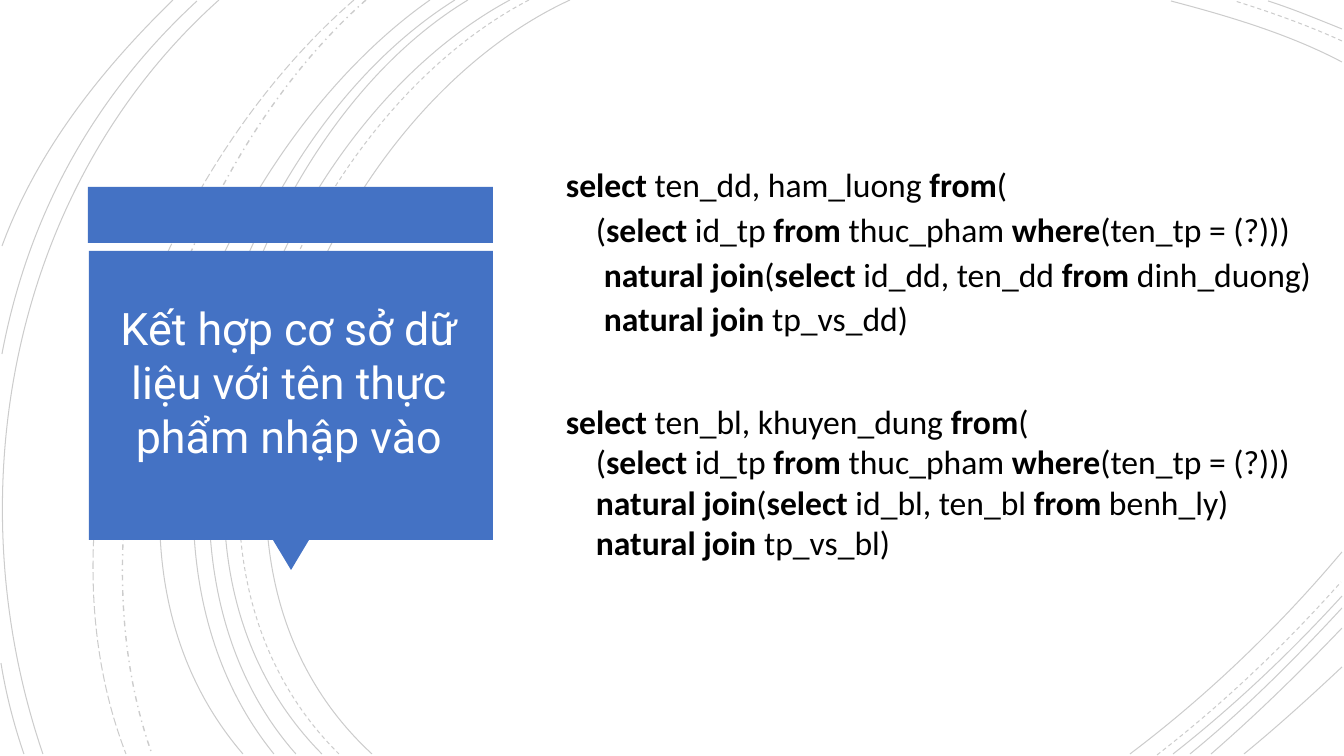
"""Build the slide that joins database tables by the entered food name."""
from dataclasses import dataclass

from lxml.etree import SubElement
from pptx import Presentation
from pptx.dml.color import RGBColor
from pptx.enum.dml import MSO_LINE
from pptx.enum.shapes import MSO_SHAPE
from pptx.enum.text import MSO_ANCHOR, MSO_AUTO_SIZE, PP_ALIGN
from pptx.oxml.ns import qn
from pptx.util import Emu, Pt

TITLE = "Kết hợp cơ sở dữ liệu với tên thực phẩm nhập vào"
TITLE_BOX = (104, 296, 370, 173)

NUTRIENT_QUERY = [
    (0, "*select* ten_dd, ham_luong *from*("),
    (30, "(*select* id_tp *from* thuc_pham *where*(ten_tp = (?)))"),
    (38, "*natural join*(*select* id_dd, ten_dd *from* dinh_duong)"),
    (38, "*natural join* tp_vs_dd)"),
]
DISEASE_QUERY = [
    (0, "*select* ten_bl, khuyen_dung *from*("),
    (30, "(*select* id_tp *from* thuc_pham *where*(ten_tp = (?)))"),
    (30, "*natural join*(*select* id_bl, ten_bl *from* benh_ly)"),
    (30, "*natural join* tp_vs_bl)"),
]
QUERIES = [
    (NUTRIENT_QUERY, (556, 125, 842, 258), MSO_ANCHOR.MIDDLE, 0.9, 6),
    (DISEASE_QUERY, (556, 396, 783, 173), MSO_ANCHOR.TOP, 1.0, 0),
]

PANEL_PARTS = [
    (MSO_SHAPE.RECTANGLE, (88, 187, 405, 56), 0),
    (MSO_SHAPE.ISOSCELES_TRIANGLE, (273, 540, 36, 30), 180),
    (MSO_SHAPE.RECTANGLE, (89, 251, 404, 289), 0),
]

ARCS = {
    (MSO_LINE.SOLID, 0.75): [
        [(570, 0), (318, 116), (144, 544), (372, 754)],
        [(1342, 62), (1289, 34), (1228, 16), (1171, 1)],
        [(1130, 754), (1207, 696), (1279, 627), (1342, 552)],
        [(510, 0), (272, 128), (111, 541), (322, 754)],
        [(1342, 29), (1317, 19), (1293, 9), (1268, 1)],
        [(1173, 754), (1233, 707), (1290, 653), (1342, 596)],
        [(468, 0), (246, 134), (111, 545), (296, 754)],
        [(1190, 754), (1244, 710), (1294, 660), (1342, 608)],
        [(455, 0), (233, 139), (98, 537), (274, 754)],
        [(1211, 754), (1256, 715), (1300, 672), (1342, 628)],
        [(430, 0), (219, 148), (53, 533), (243, 754)],
        [(1244, 754), (1277, 727), (1309, 698), (1342, 667)],
        [(219, 0), (11, 186), (-46, 494), (43, 754)],
        [(197, 1), (93, 97), (28, 216), (2, 354)],
        [(1, 663), (6, 694), (14, 725), (24, 754)],
        [(173, 0), (101, 70), (37, 151), (2, 246)],
    ],
    (MSO_LINE.DASH, 0.75): [
        [(529, 0), (287, 126), (124, 541), (339, 754)],
        [(1342, 41), (1307, 25), (1270, 12), (1235, 1)],
        [(1157, 755), (1223, 704), (1285, 645), (1341, 582)],
    ],
    (MSO_LINE.DASH_DOT, 1): [[(366, 0), (177, 167), (66, 513), (152, 754)]],
    (MSO_LINE.LONG_DASH, 0.75): [[(354, 0), (158, 170), (29, 503), (126, 754)]],
}


@dataclass(frozen=True)
class Theme:
    panel: RGBColor = RGBColor(0x44, 0x72, 0xC4)
    ink: RGBColor = RGBColor(0, 0, 0)
    title_color: RGBColor = RGBColor(255, 255, 255)
    arc_alpha: int = 20000
    title_font: str = "Roboto"
    code_font: str = "Calibri"
    title_size: int = 32
    code_size: int = 24


THEME = Theme()


def px(length):
    return Emu(round(length * 914400 / 100.8))


def box(lengths):
    return [px(length) for length in lengths]


def style_run(run, font, size, color, bold=False):
    run.font.name = font
    run.font.size = Pt(size)
    run.font.color.rgb = color
    run.font.bold = bold


def bend(shape):
    outline = next(shape._element.iter(qn("a:path")))
    curve = SubElement(outline, qn("a:cubicBezTo"))
    for segment in outline.findall(qn("a:lnTo")):
        curve.append(segment[0])
        outline.remove(segment)


def add_arc(slide, controls, dash, width):
    start, *others = [box(point) for point in controls]
    builder = slide.shapes.build_freeform(*start)
    builder.add_line_segments(others, close=False)
    shape = builder.convert_to_shape()
    bend(shape)
    shape.shadow.inherit = False
    shape.fill.background()
    shape.line.color.rgb = THEME.ink
    shape.line.width = Pt(width)
    shape.line.dash_style = dash
    color = next(shape._element.iter(qn("a:srgbClr")))
    SubElement(color, qn("a:alpha"), val=str(THEME.arc_alpha))


def add_panel_part(slide, kind, bounds, rotation):
    shape = slide.shapes.add_shape(kind, *box(bounds))
    shape.rotation = rotation
    shape.shadow.inherit = False
    shape.fill.solid()
    shape.fill.fore_color.rgb = THEME.panel
    shape.line.fill.background()


def add_query(slide, lines, bounds, anchor, line_spacing, space_after):
    frame = slide.shapes.add_textbox(*box(bounds)).text_frame
    frame.word_wrap = True
    frame.vertical_anchor = anchor
    for index, (indent, line) in enumerate(lines):
        paragraph = frame.add_paragraph() if index else frame.paragraphs[0]
        paragraph.line_spacing = line_spacing
        paragraph.space_after = Pt(space_after)
        properties = paragraph._p.get_or_add_pPr()
        properties.set("marL", str(px(indent)))
        properties.set("indent", "0")
        for part, text in enumerate(line.split("*")):
            if text:
                run = paragraph.add_run()
                run.text = text
                style_run(run, THEME.code_font, THEME.code_size, THEME.ink, part % 2 == 1)


def place_title(slide):
    title = slide.shapes.title
    title.left, title.top, title.width, title.height = box(TITLE_BOX)
    frame = title.text_frame
    frame.text = TITLE
    frame.word_wrap = True
    frame.auto_size = MSO_AUTO_SIZE.NONE
    frame.vertical_anchor = MSO_ANCHOR.TOP
    paragraph = frame.paragraphs[0]
    paragraph.alignment = PP_ALIGN.CENTER
    style_run(paragraph.runs[0], THEME.title_font, THEME.title_size, THEME.title_color)
    slide.shapes._spTree.append(title._element)


def main():
    presentation = Presentation()
    presentation.slide_width, presentation.slide_height = px(1344), px(756)
    slide = presentation.slides.add_slide(presentation.slide_layouts[5])
    for (dash, width), arcs in ARCS.items():
        for controls in arcs:
            add_arc(slide, controls, dash, width)
    for part in PANEL_PARTS:
        add_panel_part(slide, *part)
    for query in QUERIES:
        add_query(slide, *query)
    place_title(slide)
    presentation.save("out.pptx")


if __name__ == "__main__":
    main()
